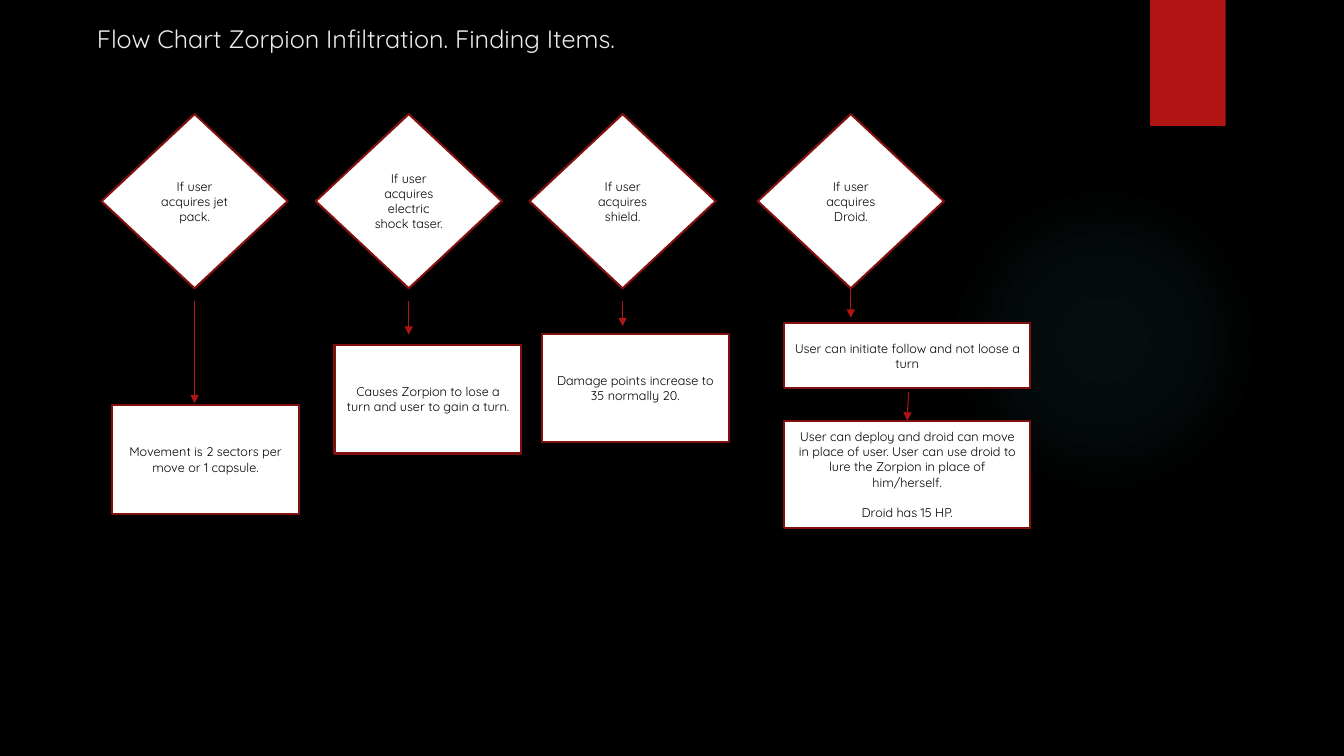
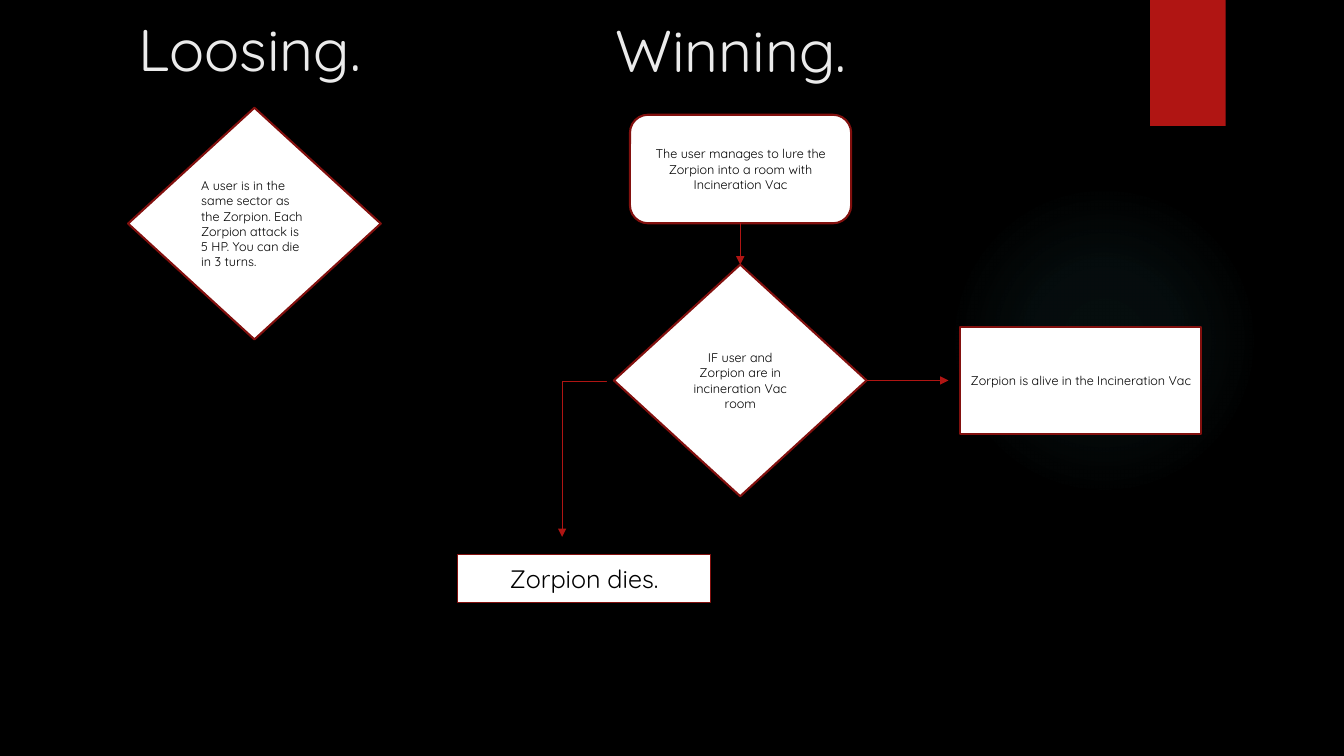
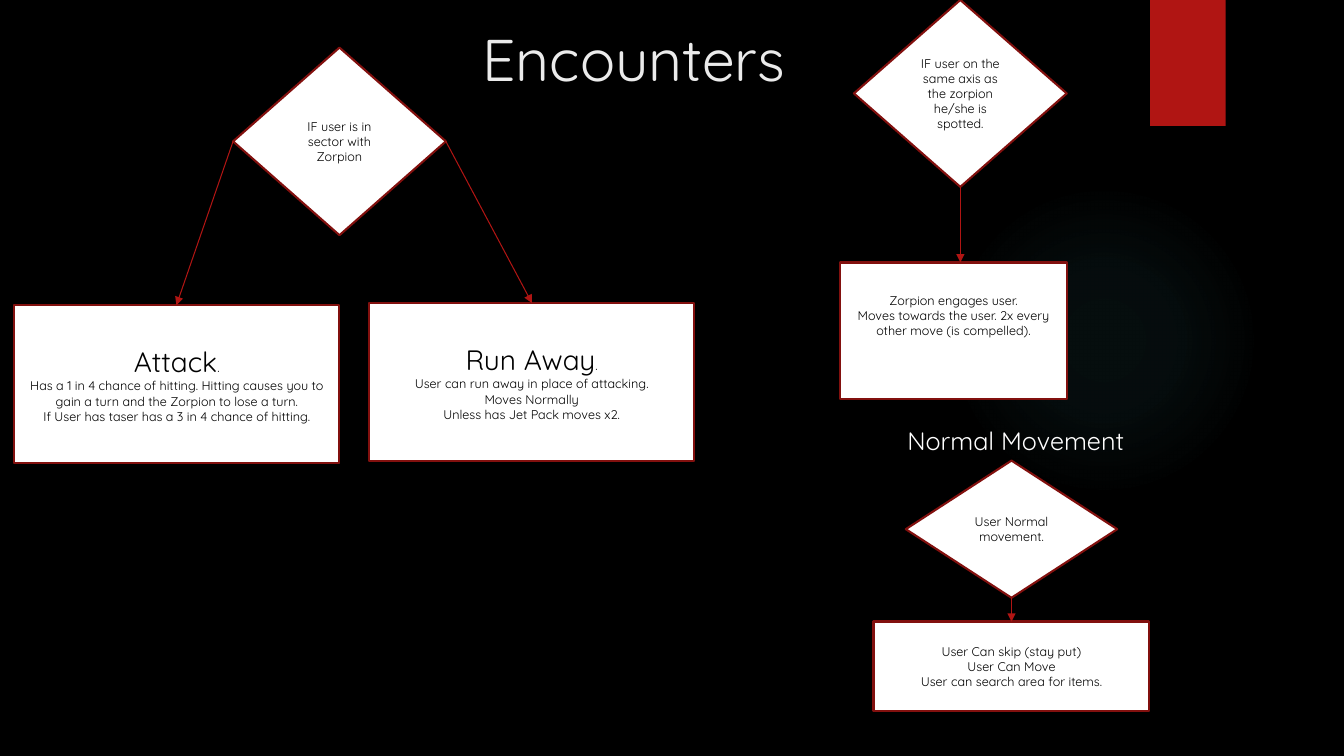
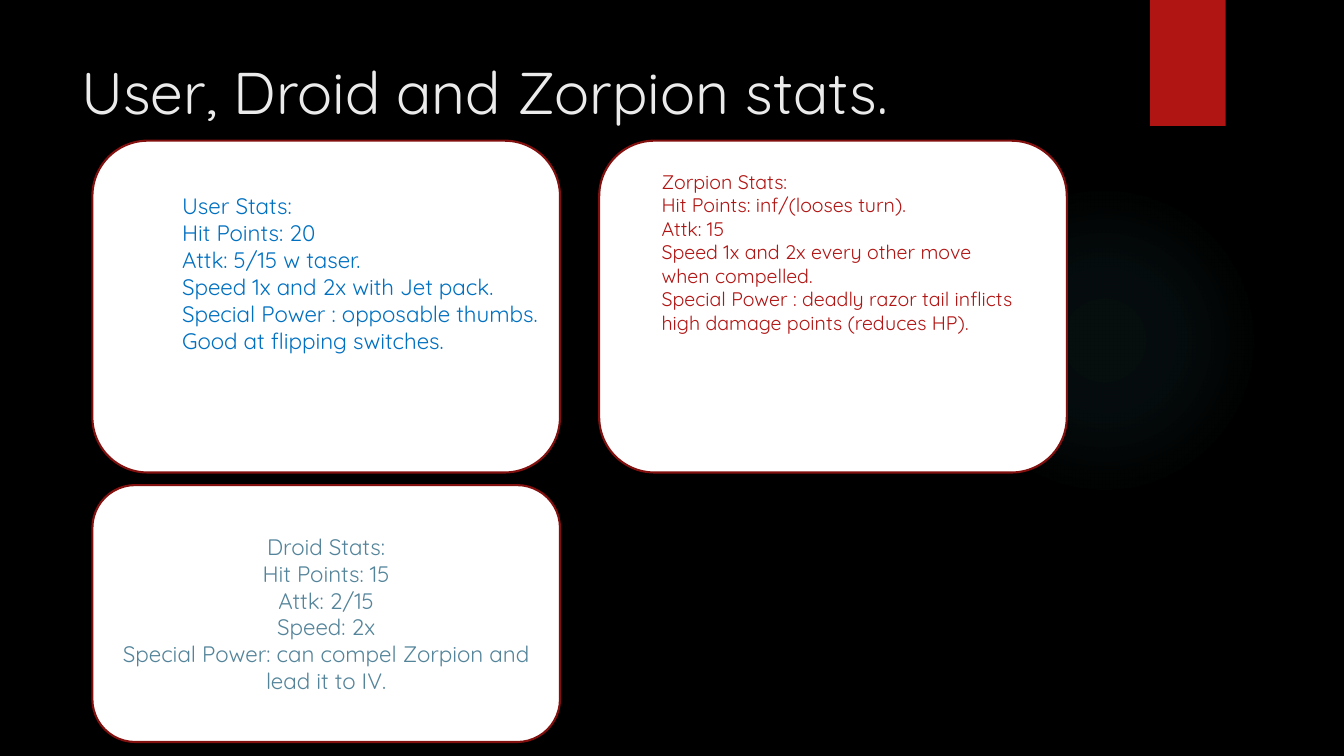
import pptx
import pptx.dml.color
import pptx.enum.shapes
import pptx.enum.text
import pptx.oxml
import pptx.oxml.ns
import pptx.util

Pt = pptx.util.Pt
Kind = pptx.enum.shapes.MSO_SHAPE
Link = pptx.enum.shapes.MSO_CONNECTOR
Align = pptx.enum.text.PP_ALIGN
Anchor = pptx.enum.text.MSO_ANCHOR

FONT = "Quicksand"
COLORS = {
    "background": "000000", "title": "EBEBEB", "caption": "FFFFFF",
    "node": "FFFFFF", "outline": "82100E", "text": "000000",
    "accent": "B01513", "glow": "50B9C1", "user": "0070C0", "droid": "54849A",
}
TOP_LEFT = {"align": Align.LEFT, "anchor": Anchor.TOP}
HEADING = {"size": 42, "color": "title", **TOP_LEFT}


def rgb(name):
    return pptx.dml.color.RGBColor.from_string(COLORS[name])


def write_text(shape, lines, size=9, color="text", align=Align.CENTER,
               anchor=Anchor.MIDDLE, gap=0, **frame_format):
    """Each line is a string or a list of (text, size); gap precedes the last."""
    frame = shape.text_frame
    frame_format = {"word_wrap": True, "vertical_anchor": anchor,
                    "auto_size": pptx.enum.text.MSO_AUTO_SIZE.NONE, **frame_format}
    for name, value in frame_format.items():
        setattr(frame, name, value)
    for number, line in enumerate(lines):
        paragraph = frame.add_paragraph() if number else frame.paragraphs[0]
        paragraph.alignment = align
        if gap and number == len(lines) - 1:
            paragraph.space_before = Pt(gap)
        for text, run_size in [(line, size)] if isinstance(line, str) else line:
            run = paragraph.add_run()
            run.text = text
            for name, value in {"name": FONT, "size": Pt(run_size), "bold": False}.items():
                setattr(run.font, name, value)
            run.font.color.rgb = rgb(color)


# Slide contents: title (box, text, size), nodes (kind, box, lines, format)
# and arrows (from, to); a box is left, top, width, height
items = [
    (139, "If user acquires jet pack.", (215, 288), (80, 289.5, 133.5, 77.5),
     "Movement is 2 sectors per move or 1 capsule."),
    (292, "If user acquires electric shock taser.", (215, 239), (239, 246.5, 133.5, 77.5),
     "Causes Zorpion to lose a turn and user to gain a turn."),
    (444.75, "If user acquires shield.", (215, 233), (387, 238.5, 133.5, 77.5),
     "Damage points increase to 35 normally 20."),
    (607.75, "If user acquires Droid.", (206, 227), (560, 231, 176, 46.5),
     "User can initiate follow and not loose a turn"),
]
finding_nodes, finding_arrows = [], []
for center, question, (start, end), outcome_box, outcome in items:
    finding_nodes += [
        (Kind.DIAMOND, (center - 66.5, 81.5, 133, 124.5), [question], {}),
        (Kind.RECTANGLE, outcome_box, [outcome], {}),
    ]
    finding_arrows.append(((center, start), (center, end)))
finding_nodes.append((
    Kind.RECTANGLE, (560, 300.5, 176, 77),
    ["User can deploy and droid can move in place of user. "
     "User can use droid to lure the Zorpion in place of him/herself.",
     "Droid has 15 HP."], {"gap": 11}))
finding_arrows.append(((649, 280), (648, 300.5)))

contents = [
    {"title": ((62, 13, 741, 27), "Flow Chart Zorpion Infiltration. Finding Items.", 18),
     "nodes": finding_nodes, "arrows": finding_arrows},
    {"title": ((91.5, 5.5, 741, 57), "Loosing.", 42),
     "nodes": [
         (Kind.DIAMOND, (91.5, 77, 180.5, 165.5),
          ["A user is in the same sector as the Zorpion. Each Zorpion attack is 5 HP. "
           "You can die in 3 turns."], {"align": Align.LEFT}),
         (None, (432.5, 6.5, 741, 57), ["Winning."], HEADING),
         (Kind.ROUNDED_RECTANGLE, (450, 82, 158, 77.5),
          ["The user manages to lure the Zorpion into a room with Incineration Vac"], {}),
         (Kind.DIAMOND, (438.5, 189, 180.5, 165.5),
          ["IF user and Zorpion are in incineration Vac room"], {}),
         (Kind.RECTANGLE, (327, 396, 180.5, 34), ["Zorpion dies."],
          {"size": 18, "line": 0.5}),
         (Kind.RECTANGLE, (686, 233.5, 172, 76.5),
          ["Zorpion is alive in the Incineration Vac"], {}),
     ],
     "arrows": [((528.75, 159.5), (528.75, 189)), ((619, 271.75), (677.5, 271.75))]},
    {"title": ((337.5, 12.5, 741, 54), "Encounters", 42),
     "nodes": [
         (Kind.DIAMOND, (166.5, 34, 152, 134), ["IF user is in sector with Zorpion"], {}),
         (Kind.RECTANGLE, (10, 218, 232.5, 113),
          [[("Attack", 20), (".", 9)],
           "Has a 1 in 4 chance of hitting. Hitting causes you to gain a turn "
           "and the Zorpion to lose a turn.",
           "If User has taser has a 3 in 4 chance of hitting."], {}),
         (Kind.RECTANGLE, (263.5, 216.5, 232.5, 113),
          [[("Run Away", 20), (".", 9)], "User can run away in place of attacking.",
           "Moves Normally", "Unless has Jet Pack moves x2."], {}),
         (Kind.DIAMOND, (610, 0, 152, 133.5),
          ["IF user on the same axis as the zorpion he/she is spotted."], {}),
         (Kind.RECTANGLE, (600, 187.5, 162, 97.5),
          ["Zorpion engages user.",
           "Moves towards the user. 2x every other move (is compelled)."],
          {"margin_bottom": Pt(25.5)}),
         (Kind.DIAMOND, (647, 329, 151, 98), ["User Normal movement."], {}),
         (Kind.RECTANGLE, (624, 444, 197, 64),
          ["User Can skip (stay put)", "User Can Move",
           "User can search area for items."], {}),
         (None, (641, 300, 180, 29), ["Normal Movement"],
          {"size": 18, "color": "caption", "word_wrap": False, **TOP_LEFT}),
     ],
     "arrows": [((166.5, 101), (126, 218)), ((318.5, 101), (380, 216.5)),
                ((686, 133.5), (686, 187.5)), ((722.5, 427), (722.5, 444))]},
    {"title": ((51, 36, 741, 47.5), "User, Droid and Zorpion stats.", 42),
     "nodes": [
         (Kind.ROUNDED_RECTANGLE, (66, 100.5, 334, 237), [], {}),
         (Kind.ROUNDED_RECTANGLE, (428, 100.5, 334, 237), [], {}),
         (None, (123, 134, 269, 165),
          ["User Stats:", "Hit Points: 20", "Attk: 5/15 w taser.",
           "Speed 1x and 2x with Jet pack.",
           "Special Power : opposable thumbs. Good at flipping switches."],
          {"size": 16, "color": "user", **TOP_LEFT}),
         (None, (465.5, 117.5, 269, 165),
          ["Zorpion Stats:", "Hit Points: inf/(looses turn).", "Attk: 15",
           "Speed 1x and 2x every other move when compelled.",
           "Special Power : deadly razor tail inflicts high damage points (reduces HP)."],
          {"size": 14, "color": "accent", **TOP_LEFT}),
         (Kind.ROUNDED_RECTANGLE, (66, 346.5, 334, 183.5),
          ["Droid Stats:", "Hit Points: 15", "Attk: 2/15", "Speed: 2x",
           "Special Power: can compel Zorpion and lead it to IV."],
          {"size": 16, "color": "droid"}),
     ],
     "arrows": []},
]

# Presentation and shared background
prs = pptx.Presentation()
prs.slide_width, prs.slide_height = Pt(960), Pt(540)
background = prs.slide_master.background.fill
background.solid()
background.fore_color.rgb = rgb("background")
layout = prs.slide_layouts[5]
slides = [prs.slides.add_slide(layout) for _ in contents]

# Glow and ribbon, moved to the layout
glow = slides[0].shapes.add_shape(Kind.OVAL, *map(Pt, (677.5, 132, 222, 222)))
ribbon = slides[0].shapes.add_shape(Kind.RECTANGLE, *map(Pt, (821.5, 0, 54, 90)))
ribbon.fill.solid()
ribbon.fill.fore_color.rgb = rgb("accent")
stops = "".join(
    f'<a:gs pos="{place * 1000}"><a:srgbClr val="{COLORS["glow"]}">'
    f'<a:alpha val="{alpha * 1000}"/></a:srgbClr></a:gs>'
    for place, alpha in [(0, 7), (36, 6), (69, 0), (100, 0)])
glow.element.spPr.insert(2, pptx.oxml.parse_xml(
    f'<a:gradFill {pptx.oxml.ns.nsdecls("a")}><a:gsLst>{stops}</a:gsLst><a:path path="circle">'
    '<a:fillToRect l="50000" t="50000" r="50000" b="50000"/></a:path></a:gradFill>'))
for position, decoration in enumerate([glow, ribbon], start=2):
    decoration.line.fill.background()
    decoration.shadow.inherit = False
    decoration.element.nvSpPr.cNvPr.id = 20 + position
    layout.shapes.element.insert(position, decoration.element)

# Slides
for slide, content in zip(slides, contents):
    box, text, size = content["title"]
    title = slide.shapes.title
    title.left, title.top, title.width, title.height = map(Pt, box)
    write_text(title, [text], **{**HEADING, "size": size})

    for kind, box, lines, node_format in content["nodes"]:
        text_format = dict(node_format)
        outline = text_format.pop("line", 1.5)
        if kind is None:
            node = slide.shapes.add_textbox(*map(Pt, box))
        else:
            node = slide.shapes.add_shape(kind, *map(Pt, box))
            node.shadow.inherit = False
            node.fill.solid()
            node.fill.fore_color.rgb = rgb("node")
            node.line.color.rgb = rgb("outline")
            node.line.width = Pt(outline)
        write_text(node, lines, **text_format)

    arrows = [slide.shapes.add_connector(Link.STRAIGHT, *map(Pt, start + end))
              for start, end in content["arrows"]]
    # The elbow to "Zorpion dies." leaves sideways, then drops
    if text == "Loosing.":
        elbow = slide.shapes.add_connector(Link.ELBOW, *map(Pt, (361.5, 312, 473, 343.5)))
        elbow.element.spPr.find(pptx.oxml.ns.qn("a:xfrm")).set("rot", "5400000")
        geometry = elbow.element.spPr.find(pptx.oxml.ns.qn("a:prstGeom"))
        geometry.find(pptx.oxml.ns.qn("a:avLst")).append(pptx.oxml.parse_xml(
            f'<a:gd {pptx.oxml.ns.nsdecls("a")} name="adj1" fmla="val 300"/>'))
        arrows.append(elbow)
    for arrow in arrows:
        arrow.line.color.rgb = rgb("accent")
        arrow.line.width = Pt(0.75)
        arrow.line._get_or_add_ln().append(pptx.oxml.parse_xml(
            f'<a:tailEnd {pptx.oxml.ns.nsdecls("a")} type="triangle"/>'))
        arrow.element.spPr.append(pptx.oxml.parse_xml(
            f'<a:effectLst {pptx.oxml.ns.nsdecls("a")}/>'))

prs.save("out.pptx")
